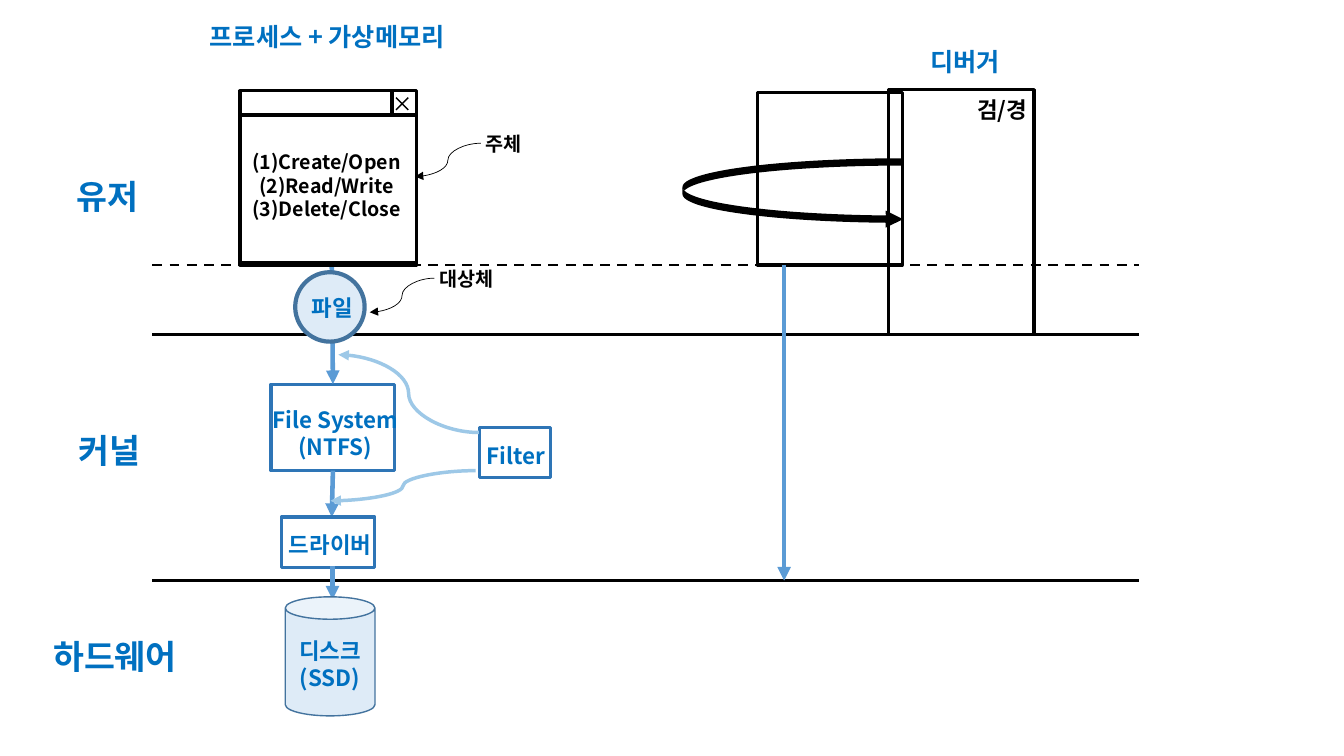
from dataclasses import dataclass

from lxml import etree
from pptx import Presentation
from pptx import util as u
from pptx.dml.color import RGBColor
from pptx.enum import dml, shapes, text
from pptx.oxml.ns import qn


@dataclass(frozen=True)
class Theme:
    font: str = "Noto Sans CJK KR"
    black: str = "000000"
    blue: str = "0070C0"
    border: str = "2E75B6"
    arrow: str = "5B9BD5"
    filter: str = "9DC8E7"
    pale: str = "DEEBF7"
    rim: str = "43739E"
    layer: int = 24
    heading: int = 18
    label: int = 16
    note: int = 14


class Diagram:
    """Draws styled elements on one page; all lengths are in centimetres."""

    def __init__(self, page, theme):
        self.page = page
        self.theme = theme

    def add_lines(self, box, lines, size, color, align):
        frame = box.text_frame
        frame.word_wrap = True
        frame.vertical_anchor = text.MSO_ANCHOR.TOP
        for index, line in enumerate(lines):
            para = frame.add_paragraph() if index else frame.paragraphs[0]
            para.alignment = align
            span = para.add_run()
            span.text = line
            font = span.font
            font.name, font.size, font.bold = self.theme.font, u.Pt(size), True
            font.color.rgb = RGBColor.from_string(color)
            east_asian = etree.SubElement(font._element, qn("a:ea"))
            east_asian.set("typeface", self.theme.font)

    def title(self, left, top, width, height, line):
        box = self.page.shapes.title
        box.left, box.top, box.width, box.height = map(u.Cm, (left, top, width, height))
        box.text_frame.auto_size = text.MSO_AUTO_SIZE.NONE
        self.add_lines(box, [line], self.theme.heading, self.theme.blue, text.PP_ALIGN.LEFT)

    def label(self, left, top, width, height, *lines, size=None, color=None, centered=False):
        box = self.page.shapes.add_textbox(*map(u.Cm, (left, top, width, height)))
        align = text.PP_ALIGN.CENTER if centered else text.PP_ALIGN.LEFT
        self.add_lines(box, lines, size or self.theme.label, color or self.theme.blue, align)

    def shape(self, kind, left, top, width, height, fill=None, line=None, weight=2.25):
        shape = self.page.shapes.add_shape(kind, *map(u.Cm, (left, top, width, height)))
        shape.shadow.inherit = False
        if fill:
            shape.fill.solid()
            shape.fill.fore_color.rgb = RGBColor.from_string(fill)
        else:
            shape.fill.background()
        if line:
            shape.line.color.rgb = RGBColor.from_string(line)
            shape.line.width = u.Pt(weight)
        else:
            shape.line.fill.background()
        return shape

    def frame(self, left, top, width, height, line=None):
        return self.shape(shapes.MSO_SHAPE.RECTANGLE, left, top, width, height,
                          line=line or self.theme.black)

    def line(self, start, end, color=None, weight=1.75, dashed=False, arrow=False, curved=False):
        kind = shapes.MSO_CONNECTOR.CURVE if curved else shapes.MSO_CONNECTOR.STRAIGHT
        link = self.page.shapes.add_connector(kind, *map(u.Cm, (*start, *end)))
        link.line.color.rgb = RGBColor.from_string(color or self.theme.black)
        link.line.width = u.Pt(weight)
        if dashed:
            link.line.dash_style = dml.MSO_LINE.DASH
        if arrow:
            outline = link._element.spPr.find(qn("a:ln"))
            etree.SubElement(outline, qn("a:tailEnd")).set("type", "triangle")
        etree.SubElement(link._element.spPr, qn("a:effectLst"))
        return link

    def flow(self, start, end):
        return self.line(start, end, self.theme.arrow, 3.25, arrow=True)

    def curve(self, start, end, color=None, weight=0.5):
        return self.line(start, end, color, weight, arrow=True, curved=True)


def draw_layers(diagram):
    theme = diagram.theme
    for y, dashed in ((8.43, False), (14.63, False), (6.68, True)):
        diagram.line((3.84, y), (28.7, y), dashed=dashed)
    for left, top, name in ((1.68, 4.32, "유저"), (1.73, 10.72, "커널"), (1.09, 15.9, "하드웨어")):
        diagram.label(left, top, 4.95, 1.27, name, size=theme.layer)


def draw_kernel(diagram):
    theme = diagram.theme
    file_system = diagram.frame(6.83, 9.68, 3.12, 2.18, theme.border)
    diagram.flow((8.36, 6.65), (8.39, 9.68)).end_connect(file_system, 0)
    diagram.flow((8.39, 11.86), (8.36, 13.03)).begin_connect(file_system, 2)
    diagram.label(6.07, 10.11, 4.75, 1.63, "File System", "(NTFS)", centered=True)
    diagram.frame(7.09, 13.03, 2.36, 1.27, theme.border)
    diagram.label(6.53, 13.26, 3.58, 0.94, "드라이버", centered=True)
    diagram.frame(12.09, 10.77, 1.78, 1.27, theme.border)
    diagram.label(11.66, 11.02, 2.69, 0.94, "Filter", centered=True)
    diagram.flow((8.38, 14.27), (8.38, 15.11))


def draw_process(diagram):
    theme = diagram.theme
    left, right, top, bottom = 9.98, 10.29, 2.46, 2.77
    diagram.frame(6.05, 2.29, 4.45, 4.34)
    diagram.frame(6.05, 2.9, 4.45, 3.78)
    diagram.line((9.88, 2.29), (9.88, 2.92), weight=2.25)
    diagram.line((right, top), (left, bottom), weight=1)
    diagram.line((left, top), (right, bottom), weight=1)
    diagram.label(5.97, 3.66, 4.52, 2.06, "(1)Create/Open", "(2)Read/Write", "(3)Delete/Close",
                  size=theme.note, color=theme.black, centered=True)
    diagram.shape(shapes.MSO_SHAPE.OVAL, 7.44, 6.86, 1.75, 1.75, theme.pale, theme.rim, 3)
    diagram.label(6.91, 7.29, 2.92, 0.94, "파일", centered=True)


def draw_debugger(diagram):
    theme = diagram.theme
    diagram.frame(19.08, 2.34, 3.66, 4.34)
    diagram.frame(22.4, 2.26, 3.66, 6.17)
    diagram.label(23.19, 1.04, 3.15, 1.02, "디버거", size=theme.heading)
    diagram.label(23.8, 2.29, 2.92, 0.94, "검/경", color=theme.black, centered=True)
    loop = diagram.shape(shapes.MSO_SHAPE.CURVED_RIGHT_ARROW, 17.2, 3.99, 5.56, 1.75, theme.black)
    for index, value in enumerate((0.105, 0.246, 0.25)):
        loop.adjustments[index] = value
    diagram.flow((19.76, 6.68), (19.76, 14.63))


def draw_disk_and_notes(diagram):
    theme = diagram.theme
    diagram.shape(shapes.MSO_SHAPE.CAN, 7.19, 15.04, 2.26, 3, theme.pale, theme.rim, 1)
    diagram.label(6.53, 15.93, 3.58, 2.26, "디스크", "(SSD)", centered=True)
    diagram.curve((12.12, 3.61), (10.46, 4.45))
    diagram.curve((10.95, 7.01), (9.32, 7.87))
    for left, top, note in ((11.99, 3.2, "주체"), (10.82, 6.6, "대상체")):
        diagram.label(left, top, 3.15, 0.86, note, size=theme.note, color=theme.black)
    diagram.curve((11.99, 11.86), (8.33, 12.62), theme.filter, 2.5)
    diagram.curve((12.07, 10.9), (8.53, 8.94), theme.filter, 2.5)


def main():
    deck = Presentation()
    deck.slide_width, deck.slide_height = u.Cm(33.87), u.Cm(19.05)
    page = deck.slides.add_slide(deck.slide_layouts.get_by_name("Title Only"))
    diagram = Diagram(page, Theme())
    diagram.title(5.03, 0.41, 8.92, 1.02, "프로세스 + 가상메모리")
    draw_layers(diagram)
    draw_kernel(diagram)
    draw_process(diagram)
    draw_debugger(diagram)
    draw_disk_and_notes(diagram)
    deck.save("out.pptx")


if __name__ == "__main__":
    main()
